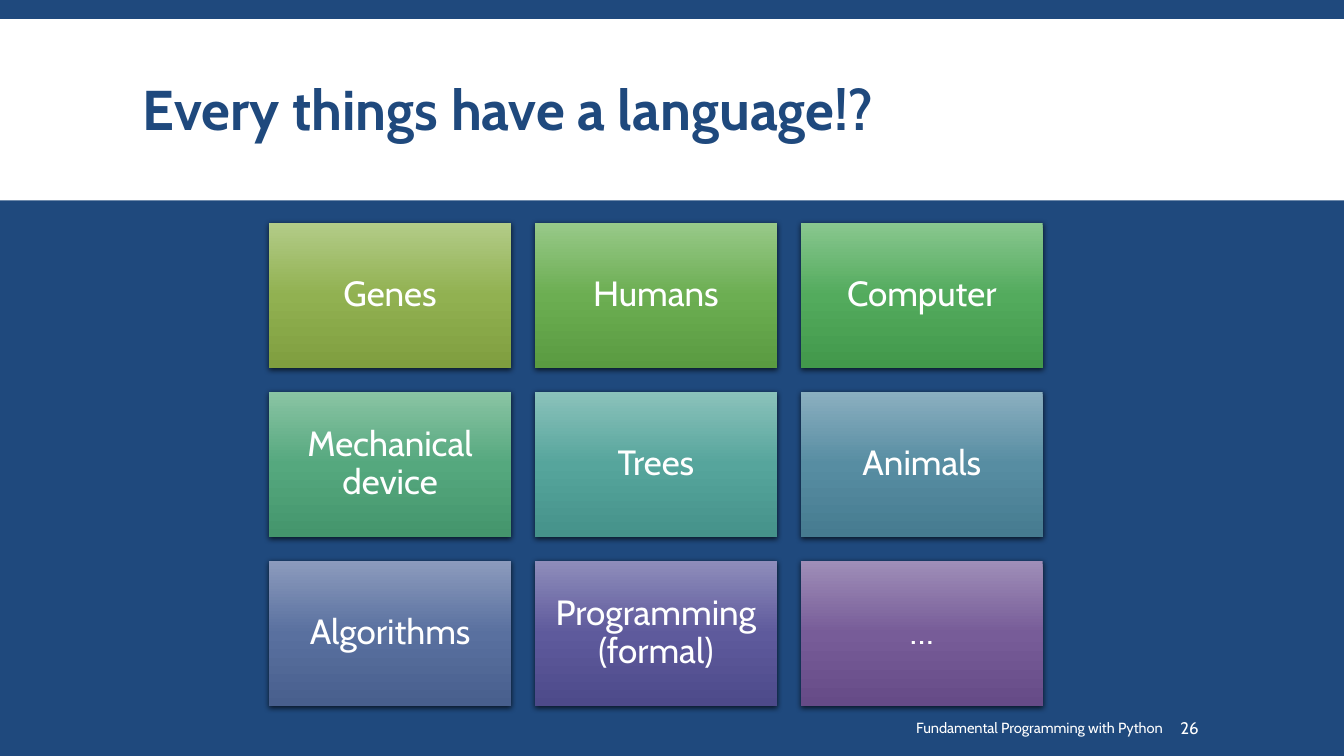
from copy import deepcopy

from lxml import etree
from pptx import Presentation
from pptx.dml.color import RGBColor
from pptx.enum.shapes import MSO_SHAPE
from pptx.enum.text import MSO_ANCHOR, PP_ALIGN
from pptx.oxml.ns import qn
from pptx.util import Cm, Pt

RECT = MSO_SHAPE.RECTANGLE
MIDDLE = MSO_ANCHOR.MIDDLE
LEFT, CENTER, RIGHT = PP_ALIGN.LEFT, PP_ALIGN.CENTER, PP_ALIGN.RIGHT
NAVY, WHITE = "1F497D", "FFFFFF"


def rgb(value):
    return RGBColor.from_string(value)


def write(s, text, size, color, align, spacing=1, bold=False, inset=(0.25, 0.13)):
    """Fill a shape with one vertically centred paragraph; inset is (sides, top and bottom) in cm."""
    tf = s.text_frame
    frame_format = {
        "word_wrap": True, "vertical_anchor": MIDDLE,
        "margin_left": Cm(inset[0]), "margin_right": Cm(inset[0]),
        "margin_top": Cm(inset[1]), "margin_bottom": Cm(inset[1]),
    }
    for name, value in frame_format.items():
        setattr(tf, name, value)
    p = tf.paragraphs[0]
    p.alignment, p.line_spacing = align, spacing
    r = p.add_run()
    r.text = text
    for name, value in {"name": "Cabin", "size": Pt(size), "bold": bold}.items():
        setattr(r.font, name, value)
    r.font.color.rgb = rgb(color)


prs = Presentation()
prs.slide_width, prs.slide_height = Cm(33.87), Cm(19.05)
slide = prs.slides.add_slide(prs.slide_layouts[5])
slide.background.fill.solid()
slide.background.fill.fore_color.rgb = rgb(NAVY)

# White title band, placed behind the title
band = slide.shapes.add_shape(RECT, 0, Cm(0.48), prs.slide_width, Cm(4.57))
band.shadow.inherit = False
band.fill.solid()
band.fill.fore_color.rgb = rgb(WHITE)
band.line.fill.background()
title = slide.shapes.title
title._element.addprevious(band._element)

title_box = {"left": 3.35, "top": 0.76, "width": 27.18, "height": 4.19}
for name, value in title_box.items():
    setattr(title, name, Cm(value))
write(title, "Every things have a language!?", 40, NAVY, LEFT, 0.85, True)

# Footer and slide number
for text, left, width, size, align in [
    ("Fundamental Programming with Python", 15.54, 14.02, 10.5, RIGHT),
    ("26", 29.62, 2.62, 12, LEFT),
]:
    s = slide.shapes.add_textbox(Cm(left), Cm(17.83), Cm(width), Cm(1.02))
    side = 0.13 if align == LEFT else 0.25
    write(s, text, size, WHITE, align, inset=(side, 0.13))

# Grid of tiles: label and gradient from top to bottom
TILES = [
    ("Genes", "B3CC88", "91B151", "7F9E3F"),
    ("Humans", "98C989", "6CAE52", "5A9B41"),
    ("Computer", "89C78F", "53AB5D", "42984B"),
    ("Mechanical device", "8AC4A4", "55A87E", "44956C"),
    ("Trees", "8BC2BB", "56A59C", "45928A"),
    ("Animals", "8BAFC0", "578DA2", "467B90"),
    ("Algorithms", "8C9BBD", "59709F", "485F8D"),
    ("Programming (formal)", "8F8DBB", "5E5A9C", "4D4A8A"),
    ("…", "9F8EB8", "775C98", "664B87"),
]
COLUMNS = 3
GRID_LEFT, GRID_TOP = 6.78, 5.61
TILE_W, TILE_H, GAP = 6.1, 3.66, 0.6

for i, (label, *colors) in enumerate(TILES):
    row, col = divmod(i, COLUMNS)
    s = slide.shapes.add_shape(
        RECT, Cm(GRID_LEFT + col * (TILE_W + GAP)),
        Cm(GRID_TOP + row * (TILE_H + GAP)), Cm(TILE_W), Cm(TILE_H))
    s.line.fill.background()

    s.fill.gradient()
    s.fill.gradient_angle = 270
    stops = s._element.spPr.find(".//" + qn("a:gsLst"))
    stops.append(deepcopy(stops[0]))
    for stop, color, position in zip(s.fill.gradient_stops, colors, (0, 0.5, 1)):
        stop.color.rgb = rgb(color)
        stop.position = position

    s.shadow.inherit = False
    effects = s._element.spPr.find(qn("a:effectLst"))
    shadow = etree.SubElement(effects, qn("a:outerShdw"), blurRad=str(Pt(4)),
                              dist=str(Pt(1.2)), dir="5400000", rotWithShape="0")
    black = etree.SubElement(shadow, qn("a:srgbClr"), val="000000")
    etree.SubElement(black, qn("a:alpha"), val="68000")

    write(s, label, 25, WHITE, CENTER, 0.9, inset=(0.25, 0.25))

prs.save("out.pptx")
